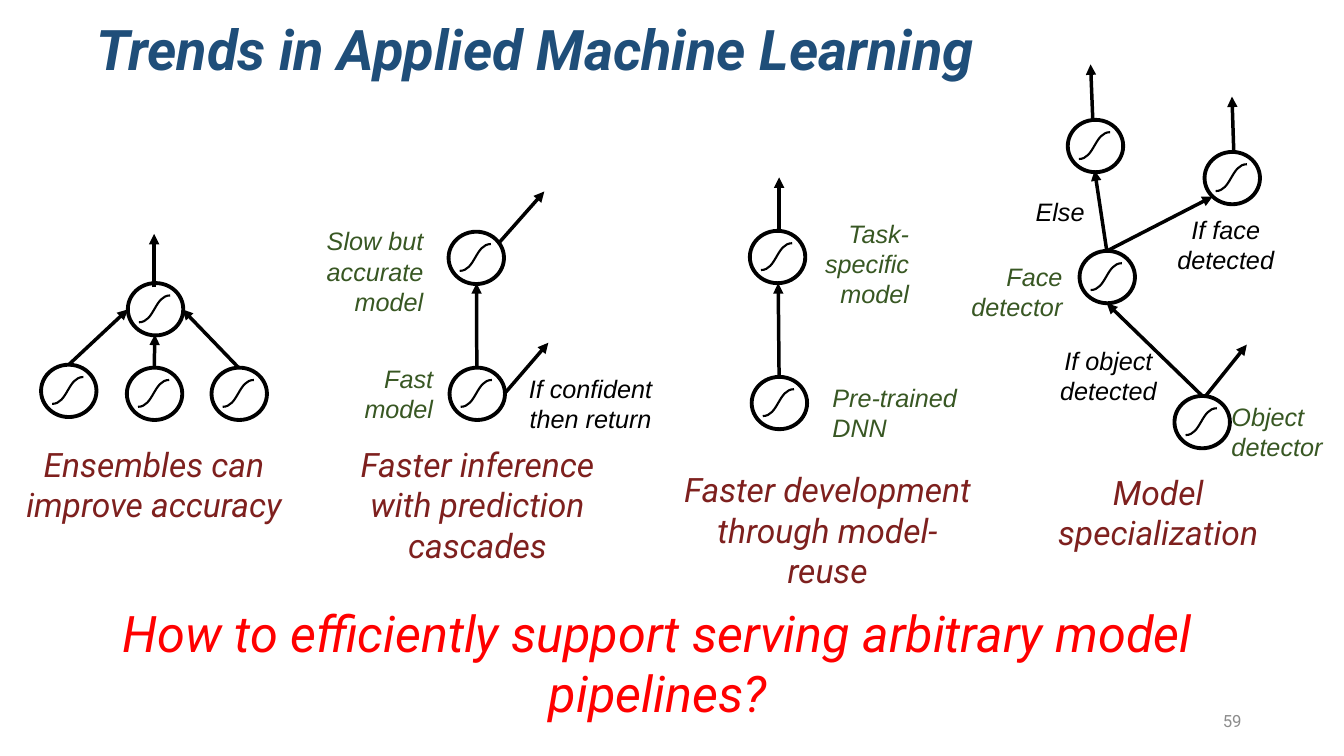
from dataclasses import dataclass

from lxml import etree
from pptx import Presentation
from pptx.dml.color import RGBColor
from pptx.enum.shapes import MSO_CONNECTOR, MSO_SHAPE
from pptx.enum.text import MSO_ANCHOR, PP_ALIGN
from pptx.oxml.ns import qn
from pptx.util import Pt


@dataclass(frozen=True)
class Style:
    size: float
    color: str
    font: str = "Roboto"
    bold: bool = False
    italic: bool = True


@dataclass(frozen=True)
class Theme:
    ink: str = "000000"
    title: Style = Style(40, "1F4E79", bold=True)
    caption: Style = Style(24, "7E201E")
    model: Style = Style(18, "385723", "Arial")
    condition: Style = Style(18, "000000", "Arial")
    question: Style = Style(36, "FF0000")
    page: Style = Style(12, "8C8C8C", italic=False)
    node_line: float = 2.75
    sigmoid_line: float = 1.5
    arrow_line: float = 2.5


THEME = Theme()
LEFT, CENTER, RIGHT = PP_ALIGN.LEFT, PP_ALIGN.CENTER, PP_ALIGN.RIGHT
NODE_WIDTH, NODE_HEIGHT = 39.6, 37.4
SIGMOID_WIDTH, SIGMOID_HEIGHT = 22.3, 19.2

# Each pipeline: caption (text, left, top, width, height), nodes (left, top),
# arrows (from x, y, to x, y), labels (text, left, top, width, height, style, alignment).
ENSEMBLE = dict(
    caption=("Ensembles can improve accuracy", 9.2, 313.3, 201.6, 65.5),
    nodes=[(29.3, 260.5), (90.6, 262.6), (151.1, 262.6), (91.3, 202.2)],
    arrows=[(49, 260.6, 91.4, 221), (110.2, 262.8, 110.6, 239),
            (170.6, 262.8, 130.3, 221), (110.1, 205.2, 110.1, 167)],
    labels=[],
)
CASCADE = dict(
    caption=("Faster inference with prediction cascades", 240.3, 313.5, 201.6, 94.3),
    nodes=[(321.1, 262.6), (320.4, 165.5)],
    arrows=[(340.6, 262.8, 340.4, 202.3), (360.7, 280.8, 391.7, 244.8),
            (356.4, 173.5, 388.8, 136.8)],
    labels=[
        ("Fast model", 225.1, 255.6, 91.4, 51.1, THEME.model, RIGHT),
        ("If confident then return", 354.9, 263.2, 133.9, 51.1, THEME.condition, CENTER),
        ("Slow but accurate model", 218.1, 157.6, 91.4, 72.7, THEME.model, RIGHT),
    ],
)
REUSE = dict(
    caption=("Faster development through model-reuse", 480.2, 331.6, 221.8, 94.3),
    nodes=[(536.9, 269.2), (535.6, 164.9)],
    arrows=[(556.5, 269.3, 555.9, 202.3), (556.5, 165.6, 556.5, 126.7)],
    labels=[
        ("Pre-trained DNN", 587.5, 269.3, 110.9, 51.1, THEME.model, LEFT),
        ("Task-specific model", 565.1, 152.4, 91.4, 72.7, THEME.model, RIGHT),
    ],
)
SPECIALIZATION = dict(
    caption=("Model specialization", 716.4, 333.6, 221.8, 65.5),
    nodes=[(838.9, 282.8), (860.4, 108.5), (771.1, 179.2), (762.7, 85.6)],
    arrows=[(859, 283, 790.6, 216.7), (790.6, 179.3, 866.2, 140.4),
            (790.6, 179.3, 781.9, 121.7), (780.6, 85.7, 779, 46),
            (881.3, 108.7, 880, 69), (861.1, 283, 890.6, 246.2)],
    labels=[
        ("Object detector", 872.6, 283, 110.9, 51.1, THEME.model, LEFT),
        ("If object detected", 724.8, 242.9, 133.9, 51.1, THEME.condition, CENTER),
        ("If face detected", 808.6, 149.4, 133.9, 51.1, THEME.condition, CENTER),
        ("Else", 690.3, 136.7, 133.9, 28.8, THEME.condition, CENTER),
        ("Face detector", 655.1, 182.9, 110.9, 51.1, THEME.model, RIGHT),
    ],
)


def add_label(shapes, text, left, top, width, height, style, align, anchor=MSO_ANCHOR.TOP):
    label = shapes.add_textbox(Pt(left), Pt(top), Pt(width), Pt(height))
    frame = label.text_frame
    frame.word_wrap = True
    frame.vertical_anchor = anchor
    paragraph = frame.paragraphs[0]
    paragraph.text = text
    paragraph.alignment = align
    font = paragraph.font
    font.name, font.size = style.font, Pt(style.size)
    font.bold, font.italic = style.bold, style.italic
    font.color.rgb = RGBColor.from_string(style.color)
    return paragraph


def set_line(shape, width):
    shape.line.color.rgb = RGBColor.from_string(THEME.ink)
    shape.line.width = Pt(width)


def add_outline(shape, width):
    """Leave a shape unfilled and without shadow, with an ink outline."""
    shape.shadow.inherit = False
    shape.fill.background()
    set_line(shape, width)


def add_sigmoid(shapes, left, top):
    """Draw one Bezier S-curve with level ends, rising to the right."""
    width, height = Pt(SIGMOID_WIDTH), Pt(SIGMOID_HEIGHT)
    builder = shapes.build_freeform(Pt(left), Pt(top) + height)
    builder.add_line_segments([(Pt(left) + width, Pt(top))], close=False)
    sigmoid = builder.convert_to_shape()
    segment = next(sigmoid._element.iter(qn("a:lnTo")))
    curve = etree.Element(qn("a:cubicBezTo"))
    for x, y in ((width // 2, height), (width // 2, 0), (width, 0)):
        etree.SubElement(curve, qn("a:pt"), x=str(x), y=str(y))
    segment.getparent().replace(segment, curve)
    add_outline(sigmoid, THEME.sigmoid_line)


def add_node(shapes, left, top):
    circle = shapes.add_shape(
        MSO_SHAPE.OVAL, Pt(left), Pt(top), Pt(NODE_WIDTH), Pt(NODE_HEIGHT))
    add_outline(circle, THEME.node_line)
    add_sigmoid(shapes, left + (NODE_WIDTH - SIGMOID_WIDTH) / 2 - 0.7,
                top + (NODE_HEIGHT - SIGMOID_HEIGHT) / 2 - 0.3)


def add_arrow(shapes, *ends):
    arrow = shapes.add_connector(MSO_CONNECTOR.STRAIGHT, *map(Pt, ends))
    set_line(arrow, THEME.arrow_line)
    etree.SubElement(arrow.line._get_or_add_ln(), qn("a:tailEnd"), type="triangle")
    etree.SubElement(arrow._element.spPr, qn("a:effectLst"))


def add_pipeline(shapes, caption, nodes, arrows, labels):
    diagram = shapes.add_group_shape().shapes
    for node in nodes:
        add_node(diagram, *node)
    for arrow in arrows:
        add_arrow(diagram, *arrow)
    for label in labels:
        add_label(diagram, *label)
    add_label(shapes, *caption, THEME.caption, CENTER)


def main():
    deck = Presentation()
    deck.slide_width, deck.slide_height = Pt(960), Pt(540)
    shapes = deck.slides.add_slide(deck.slide_layouts[6]).shapes
    title = add_label(shapes, "Trends in Applied Machine Learning", -31.7, -15.1, 828, 104.4,
                      THEME.title, CENTER, MSO_ANCHOR.MIDDLE)
    title.line_spacing = 0.9
    for pipeline in (ENSEMBLE, CASCADE, REUSE, SPECIALIZATION):
        add_pipeline(shapes, **pipeline)
    add_label(shapes, "How to efficiently support serving arbitrary model pipelines?",
              59.8, 426.2, 820.1, 94.3, THEME.question, CENTER)
    add_label(shapes, "59", 678, 500.4, 216, 28.8, THEME.page, RIGHT, MSO_ANCHOR.MIDDLE)
    deck.save("out.pptx")


if __name__ == "__main__":
    main()
